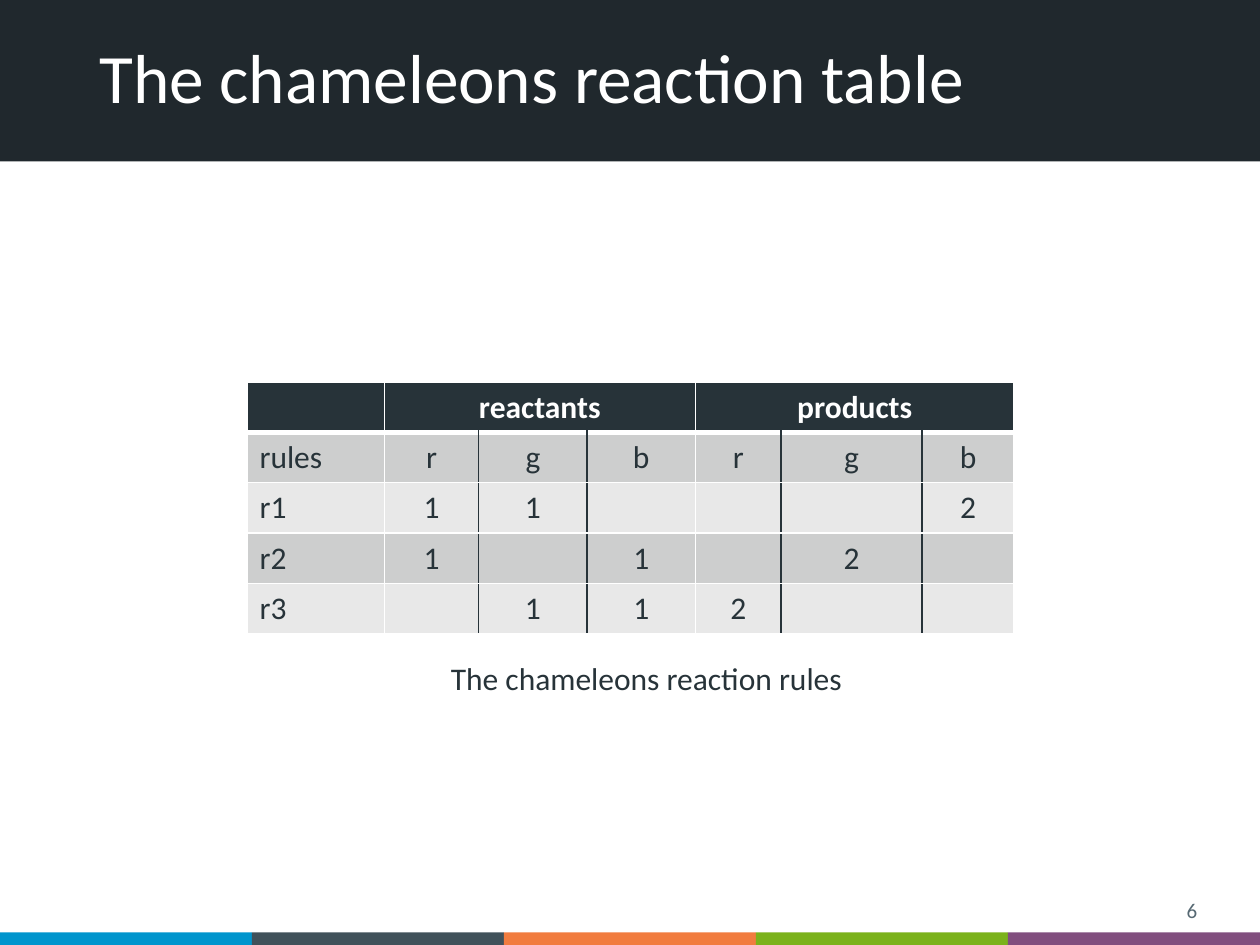
import pptx
import pptx.dml.color
import pptx.enum.shapes
import pptx.enum.text
import pptx.oxml
import pptx.oxml.ns
import pptx.util
from dataclasses import dataclass

Inches = pptx.util.Inches
Align = pptx.enum.text.PP_ALIGN
Anchor = pptx.enum.text.MSO_ANCHOR

TITLE = "The chameleons reaction table"
CAPTION = "The chameleons reaction rules"
PAGE_NUMBER = "6"
ROWS = [
    ["", "reactants", "", "", "products", "", ""],
    ["rules", "r", "g", "b", "r", "g", "b"],
    ["r1", "1", "1", "", "", "", "2"],
    ["r2", "1", "", "1", "", "2", ""],
    ["r3", "", "1", "1", "2", "", ""],
]
COLUMN_WIDTHS = [1.09, 0.75, 0.86, 0.86, 0.68, 1.12, 0.73]
ROW_HEIGHT = 0.4
GROUP_STARTS = [1, 4]
GROUP_SIZE = 3
INNER_EDGES = [start + step for start in GROUP_STARTS for step in range(1, GROUP_SIZE)]


@dataclass(frozen=True)
class Theme:
    font: str = "Calibri"
    banner: str = "20282D"
    ink: str = "273339"
    white: str = "FFFFFF"
    muted: str = "576973"
    bands: tuple = ("E8E8E8", "CDCECE")
    stripes: tuple = ("0095CD", "40515A", "F17C3F", "7BB21B", "814E7E")
    title_size: float = 39.6
    body_size: float = 18
    number_size: float = 12


THEME = Theme()


def set_attributes(target, values):
    for name, value in values.items():
        setattr(target, name, value)


def paint(fill, color):
    fill.solid()
    fill.fore_color.rgb = pptx.dml.color.RGBColor.from_string(color)


def write(paragraph, text, size, color, bold=False, **paragraph_format):
    set_attributes(paragraph, paragraph_format)
    run = paragraph.add_run()
    run.text = text
    set_attributes(run.font, {"name": THEME.font, "size": pptx.util.Pt(size), "bold": bold})
    paint(run.font.fill, color)


def add_rectangle(slide, left, top, width, height, color):
    shape = slide.shapes.add_shape(
        pptx.enum.shapes.MSO_SHAPE.RECTANGLE,
        Inches(left), Inches(top), Inches(width), Inches(height),
    )
    shape.shadow.inherit = False
    shape.line.fill.background()
    paint(shape.fill, color)


def add_text(slide, box, text, size, color, frame_format, **paragraph_format):
    shape = slide.shapes.add_textbox(*map(Inches, box))
    set_attributes(shape.text_frame, frame_format)
    write(shape.text_frame.paragraphs[0], text, size, color, **paragraph_format)


def set_border(cell, side, color, points):
    line = pptx.oxml.parse_xml(
        f'<a:ln{side} {pptx.oxml.ns.nsdecls("a")} w="{pptx.util.Pt(points)}">'
        f'<a:solidFill><a:srgbClr val="{color}"/></a:solidFill></a:ln{side}>'
    )
    cell._tc.get_or_add_tcPr().append(line)


def format_cell(cell, text, row, column):
    header = row == 0
    edges = [] if header else INNER_EDGES
    borders = {
        "L": (THEME.ink if column in edges else THEME.white, 1),
        "R": (THEME.ink if column + 1 in edges else THEME.white, 1),
        "T": (THEME.white, 3 if row == 1 else 1),
        "B": (THEME.white, 3 if header else 1),
    }
    for side, (color, points) in borders.items():
        set_border(cell, side, color, points)
    paint(cell.fill, THEME.ink if header else THEME.bands[row % 2])
    if text:
        write(
            cell.text_frame.paragraphs[0], text, THEME.body_size,
            THEME.white if header else THEME.ink, header,
            alignment=Align.CENTER if column else Align.LEFT,
        )


def add_reaction_table(slide, left, top):
    table = slide.shapes.add_table(
        len(ROWS), len(COLUMN_WIDTHS), Inches(left), Inches(top),
        Inches(sum(COLUMN_WIDTHS)), Inches(ROW_HEIGHT * len(ROWS)),
    ).table
    for column, width in zip(table.columns, COLUMN_WIDTHS):
        column.width = Inches(width)
    for row, texts in enumerate(ROWS):
        for column, text in enumerate(texts):
            format_cell(table.cell(row, column), text, row, column)
    for start in GROUP_STARTS:
        table.cell(0, start).merge(table.cell(0, start + GROUP_SIZE - 1))


def main():
    presentation = pptx.Presentation()
    set_attributes(presentation, {"slide_width": Inches(10), "slide_height": Inches(7.5)})
    slide = presentation.slides.add_slide(presentation.slide_layouts[6])

    add_rectangle(slide, 0, -0.01, 10, 1.29, THEME.banner)
    stripe_width = 10 / len(THEME.stripes)
    for index, color in enumerate(THEME.stripes):
        add_rectangle(slide, index * stripe_width, 7.4, stripe_width, 0.1, color)

    middle = {"word_wrap": True, "vertical_anchor": Anchor.MIDDLE}
    add_text(slide, (0.69, 0.27, 8.62, 0.74), TITLE, THEME.title_size, THEME.white,
             middle, line_spacing=0.9)
    add_text(slide, (7.35, 7.07, 2.25, 0.31), PAGE_NUMBER, THEME.number_size, THEME.muted,
             middle, alignment=Align.RIGHT)
    add_reaction_table(slide, 1.96, 3.03)
    add_text(slide, (3.48, 5.18, 3.35, 0.4), CAPTION, THEME.body_size, THEME.ink,
             {"word_wrap": False, "auto_size": pptx.enum.text.MSO_AUTO_SIZE.SHAPE_TO_FIT_TEXT})

    presentation.save("out.pptx")


if __name__ == "__main__":
    main()
